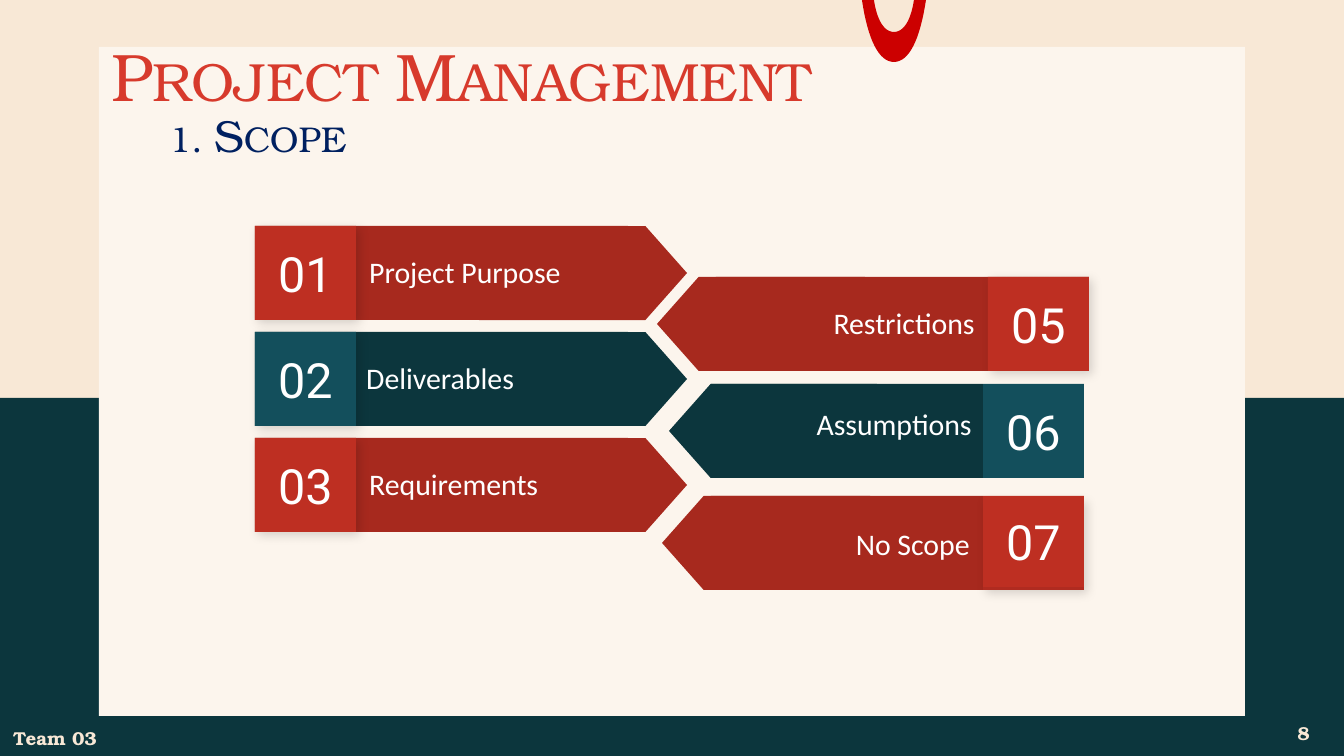
from lxml import etree
from pptx import Presentation
from pptx.dml.color import RGBColor
from pptx.enum.shapes import MSO_SHAPE
from pptx.enum.text import MSO_ANCHOR, PP_ALIGN
from pptx.oxml.ns import qn
from pptx.util import Emu, Pt

PX = 914400 / 134.4
WIDTH, HEIGHT = 1344, 756

RECT = MSO_SHAPE.RECTANGLE
POINTER = MSO_SHAPE.FLOWCHART_OFFPAGE_CONNECTOR
MIDDLE = MSO_ANCHOR.MIDDLE
LEFT, CENTER = PP_ALIGN.LEFT, PP_ALIGN.CENTER
RIGHT, JUSTIFY = PP_ALIGN.RIGHT, PP_ALIGN.JUSTIFY

SAND = RGBColor(0xF8, 0xE8, 0xD6)
CREAM = RGBColor(0xFC, 0xF5, 0xED)
TEAL = RGBColor(0x0C, 0x36, 0x3D)
LIGHT_TEAL = RGBColor(0x13, 0x4F, 0x5C)
RED = RGBColor(0xA7, 0x29, 0x1E)
MID_RED = RGBColor(0xB0, 0x2B, 0x20)
LIGHT_RED = RGBColor(0xBE, 0x2F, 0x22)
HOOK_RED = RGBColor(0xCC, 0x00, 0x00)
TITLE_RED = RGBColor(0xD7, 0x3A, 0x2C)
NAVY = RGBColor(0x00, 0x20, 0x60)
WHITE = RGBColor(0xFF, 0xFF, 0xFF)

# Body, badge and badge base colours of a banner
RED_THEME = (RED, LIGHT_RED, MID_RED)
TEAL_THEME = (TEAL, LIGHT_TEAL, TEAL)

SERIF = "TeX Gyre Bonum"
TITLE = {"name": SERIF, "size": Pt(36), "color": TITLE_RED}
SUBTITLE = {"name": SERIF, "size": Pt(24), "color": NAVY}
FOOTER = {"name": SERIF, "size": Pt(10), "color": SAND, "bold": True}
NUMBER = {"name": "Roboto", "size": Pt(26), "color": WHITE}
LABEL = {"name": "Calibri", "size": Pt(16), "color": WHITE}

BANNER_H, BODY_W, BADGE_W, POINTER_LEN = 94, 272, 101, 208


def px(value):
    return Emu(round(value * PX))


def box(*lengths):
    return [px(length) for length in lengths]


def paint(shape, color):
    shape.shadow.inherit = False
    shape.fill.solid()
    shape.fill.fore_color.rgb = color
    shape.line.fill.background()
    return shape


def add_block(slide, place, color, kind=RECT):
    return paint(slide.shapes.add_shape(kind, *box(*place)), color)


def write(shape, text, style, align=LEFT, small_caps=False, spacing=None):
    frame = shape.text_frame
    frame.word_wrap = True
    frame.vertical_anchor = MIDDLE
    for side in ("left", "right", "top", "bottom"):
        setattr(frame, f"margin_{side}", Pt(7.2))
    paragraph = frame.paragraphs[0]
    paragraph.alignment = align
    paragraph.line_spacing = spacing
    run = paragraph.add_run()
    run.text = text
    for name, value in style.items():
        if name == "color":
            run.font.color.rgb = value
        else:
            setattr(run.font, name, value)
    if small_caps:
        run._r.get_or_add_rPr().set("cap", "small")


def add_text(slide, place, text, style, **options):
    write(slide.shapes.add_textbox(*box(*place)), text, style, **options)


def add_soft_shadow(shape):
    effects = shape._element.spPr.find(qn("a:effectLst"))
    shadow = etree.SubElement(effects, qn("a:outerShdw"), blurRad=str(Pt(5.6)),
                              dist=str(Pt(2.2)), dir="2700000", algn="bl", rotWithShape="0")
    color = etree.SubElement(shadow, qn("a:srgbClr"), val="000000")
    etree.SubElement(color, qn("a:alpha"), val="15000")


def curve(start, pull_1, pull_2, end, steps=16):
    points = []
    for step in range(steps + 1):
        t = step / steps
        weights = ((1 - t) ** 3, 3 * t * (1 - t) ** 2, 3 * t * t * (1 - t), t ** 3)
        corners = (start, pull_1, pull_2, end)
        points.append(tuple(sum(w * c[axis] for w, c in zip(weights, corners))
                            for axis in (0, 1)))
    return points


def add_hook(slide):
    middle = 894
    outer = curve((862, 0), (868, 40), (879, 62), (middle, 62))
    inner = curve((874, 0), (877, 20), (884, 32), (middle, 32))

    def mirrored(points):
        return [(2 * middle - x, y) for x, y in reversed(points)]

    outline = outer + mirrored(outer) + (inner + mirrored(inner))[::-1]
    points = [tuple(box(*point)) for point in outline]
    builder = slide.shapes.build_freeform(*points[0], scale=1.0)
    builder.add_line_segments(points[1:], close=True)
    paint(builder.convert_to_shape(), HOOK_RED)


def add_banner(slide, top, body_left, pointer_left, badge_left, turn, theme,
               number, text, label_place, align, shadow_drop=0):
    body_color, badge_color, base_color = theme
    add_block(slide, (body_left, top, BODY_W, BANNER_H), body_color)

    # The pointer stands upright before it is turned about its centre
    shift = (POINTER_LEN - BANNER_H) / 2
    pointer = add_block(slide, (pointer_left + shift, top - shift, BANNER_H, POINTER_LEN),
                        body_color, POINTER)
    pointer.rotation = turn
    add_text(slide, label_place, text, LABEL, align=align, spacing=0.95)

    # Numbered badge on its shaded base
    badge_place = (badge_left, top, BADGE_W, BANNER_H - shadow_drop)
    if shadow_drop is not None and number != "06":
        base_place = (badge_left, top + shadow_drop, BADGE_W, BANNER_H - shadow_drop)
        add_soft_shadow(add_block(slide, base_place, base_color))
    write(add_block(slide, badge_place, badge_color), number, NUMBER, align=CENTER)


def add_left_banner(slide, row, number, text, theme, label_left=356):
    top = 226 + 106 * row
    add_banner(slide, top, 356, 479, 255, 270, theme, number, text,
               (label_left, top + 11, 290, 73), JUSTIFY)


def add_right_banner(slide, top, number, text, theme, pointer_left, badge_left,
                     label_right, label_middle, shadow_drop=0):
    label_place = (label_right - 285, label_middle - 36, 285, 73)
    add_banner(slide, top, badge_left - BODY_W, pointer_left, badge_left, 90, theme,
               number, text, label_place, RIGHT, shadow_drop)


def main():
    deck = Presentation()
    deck.slide_width, deck.slide_height = box(WIDTH, HEIGHT)
    slide = deck.slides.add_slide(deck.slide_layouts[6])

    # Backdrop
    add_block(slide, (0, 0, WIDTH, HEIGHT), SAND)
    add_block(slide, (0, 398, WIDTH, HEIGHT - 398), TEAL)
    add_block(slide, (99, 47, 1146, 669), CREAM)
    add_hook(slide)

    # Headings and footer
    add_text(slide, (98, 32, 1201, 85), "Project Management", TITLE, small_caps=True)
    add_text(slide, (156, 92, 1188, 85), "1. Scope", SUBTITLE, small_caps=True)
    add_text(slide, (1263, 704, 81, 58), "8", FOOTER, align=CENTER)
    add_text(slide, (0, 715, 126, 47), "Team 03", FOOTER)

    # Banners pointing right
    add_left_banner(slide, 0, "01", "Project Purpose", RED_THEME)
    add_left_banner(slide, 1, "02", "Deliverables", TEAL_THEME, label_left=353)
    add_left_banner(slide, 2, "03", "Requirements", RED_THEME)

    # Banners pointing left
    add_right_banner(slide, 277, "05", "Restrictions", RED_THEME, 657, 988, 988, 324)
    add_right_banner(slide, 384, "06", "Assumptions", TEAL_THEME, 669, 983, 985, 425)
    add_right_banner(slide, 496, "07", "No Scope", RED_THEME, 662, 983, 983, 545,
                     shadow_drop=3)

    deck.save("out.pptx")


if __name__ == "__main__":
    main()
